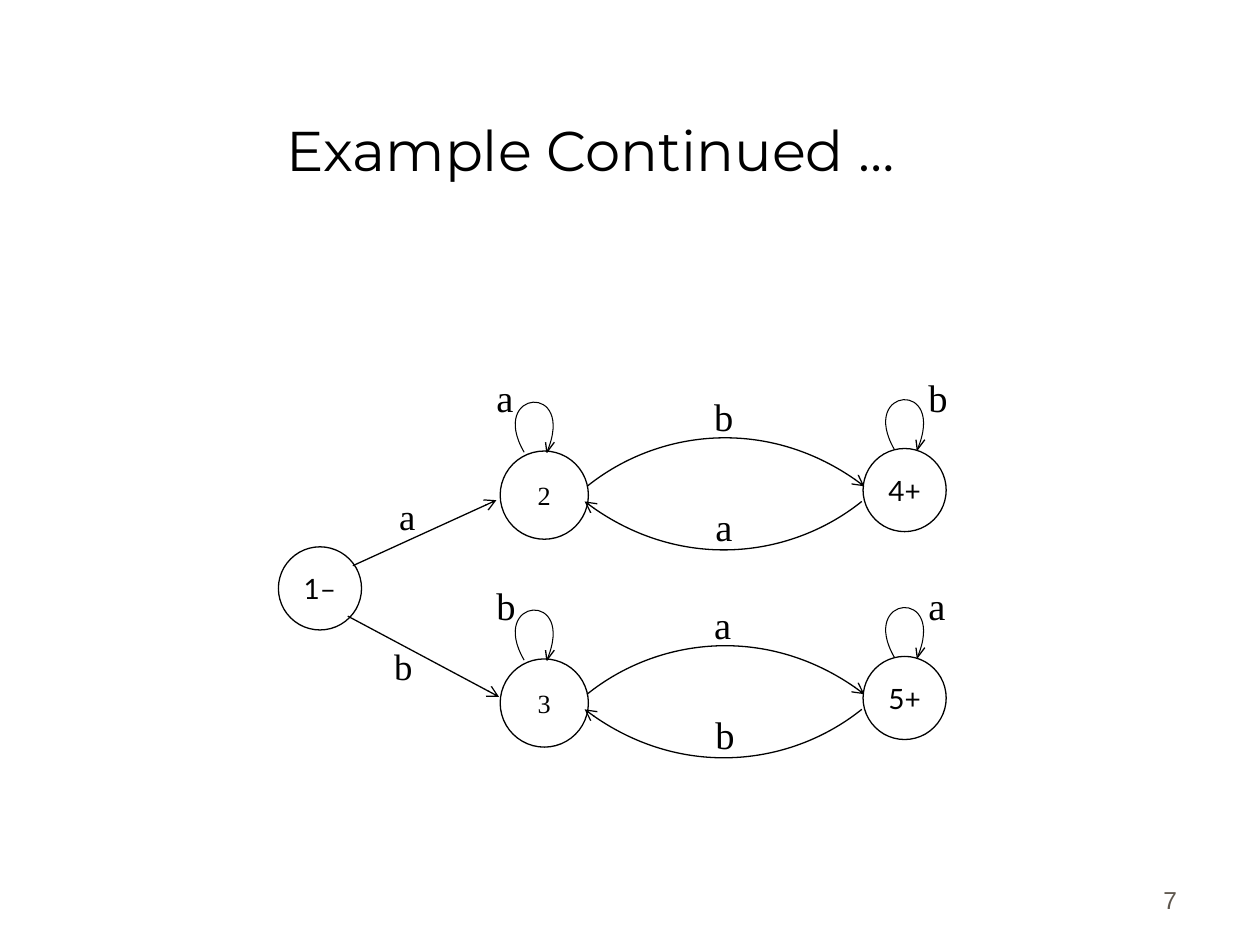
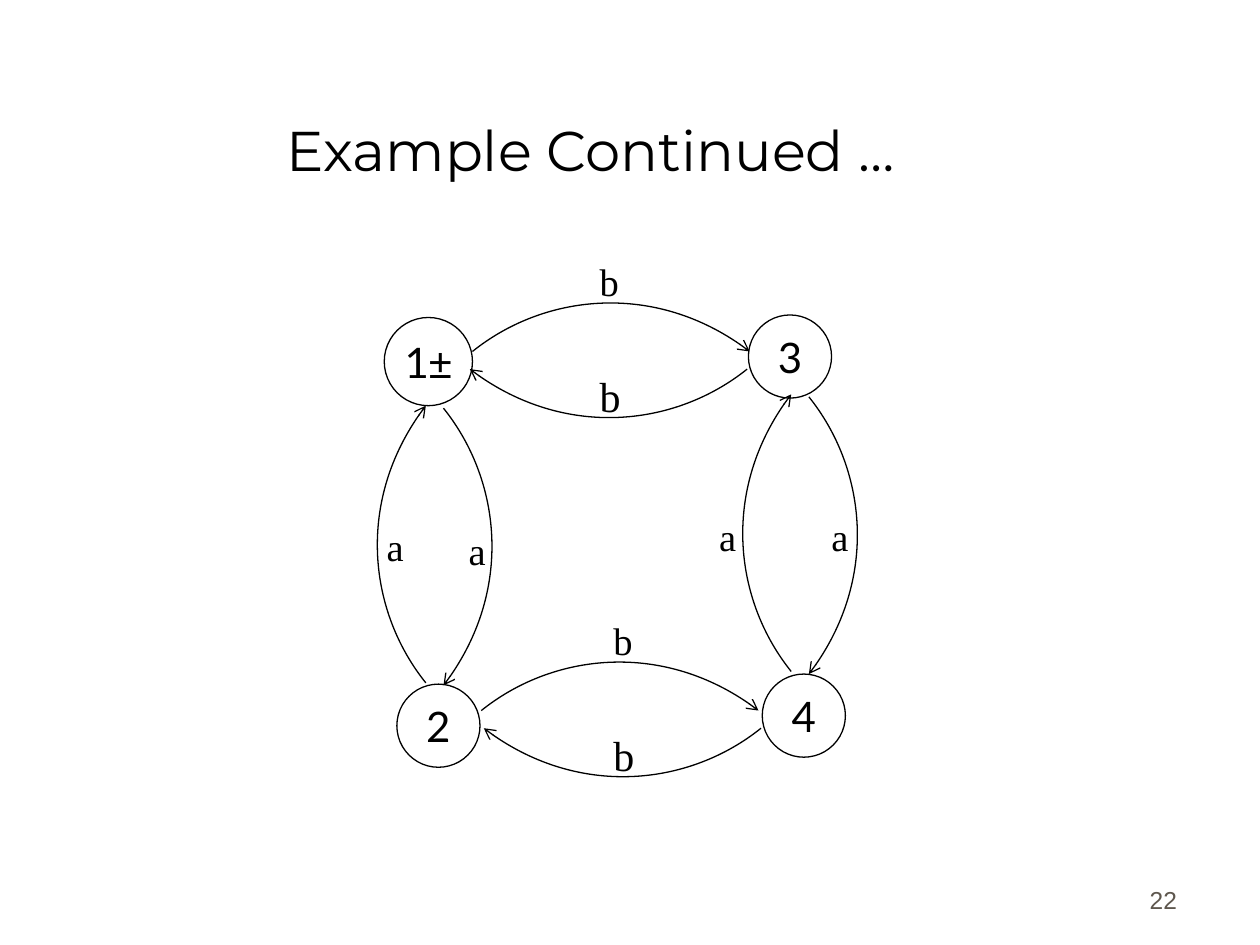
from lxml import etree
from pptx import Presentation
from pptx.dml.color import RGBColor
from pptx.enum import shapes, text
from pptx.oxml.ns import qn
from pptx.util import Inches, Pt

COLORS = {"ink": "000000", "paper": "FFFFFF", "number": "5E574E"}
SERIF, SANS, TITLE, NUMBER = "Times New Roman", "Lato", "Montserrat", "Arial"
TITLE_TEXT = "Example Continued …"
LINE, LOOP_LINE = 0.75, 0.6

# Quarter turns (cos, sin) that point an arc along the slide
RIGHT, DOWN, LEFT, UP = (1, 0), (0, 1), (-1, 0), (0, -1)
ARC = [(0.56, -0.45), (1.47, -0.56), (2.2, 0)]
LOOP = [(-0.29, -0.5), (0.42, -0.56), (0.18, 0)]
BARBS = [(0.06, -0.08), (-0.01, -0.08)]


def color(name):
    return RGBColor.from_string(COLORS[name])


class Diagram:
    """Draws automata with one style on the current slide."""

    def __init__(self, prs):
        self.prs = prs
        self.slide = None

    def new_slide(self, number):
        self.slide = self.prs.slides.add_slide(self.prs.slide_layouts[5])
        s = self.slide.shapes.title
        s.left, s.top, s.width, s.height = map(Inches, (0.44, 0.25, 8.5, 1.25))
        tf = s.text_frame
        tf.auto_size = text.MSO_AUTO_SIZE.NONE
        tf.vertical_anchor = text.MSO_ANCHOR.BOTTOM
        self.add_runs(tf, [(TITLE_TEXT, TITLE)], 32, text.PP_ALIGN.CENTER)
        tf = self.text_box(7.36, 6.81, 2.08, 0.5)
        tf.vertical_anchor = text.MSO_ANCHOR.BOTTOM
        self.add_runs(tf, [(number, NUMBER)], 14, text.PP_ALIGN.RIGHT, "number")

    def add_runs(self, tf, runs, size, align, ink="ink"):
        p = tf.paragraphs[0]
        p.alignment = align
        for words, font in runs:
            r = p.add_run()
            r.text = words
            r.font.name, r.font.size = font, Pt(size)
            r.font.color.rgb = color(ink)

    def text_box(self, x, y, w, h):
        s = self.slide.shapes.add_textbox(*map(Inches, (x, y, w, h)))
        s.text_frame.word_wrap = True
        return s.text_frame

    def label(self, letter, x, y, size=22):
        tf = self.text_box(x, y, 0.45, 0.45)
        self.add_runs(tf, [(letter, SERIF)], size, text.PP_ALIGN.LEFT)

    def state(self, x, y, d, runs, size):
        s = self.slide.shapes.add_shape(
            shapes.MSO_SHAPE.OVAL, *map(Inches, (x, y, d, d)))
        s.shadow.inherit = False
        s.fill.solid()
        s.fill.fore_color.rgb = color("paper")
        self.stroke(s)
        tf = s.text_frame
        tf.margin_left = tf.margin_right = tf.margin_top = tf.margin_bottom = 0
        tf.word_wrap = False
        tf.vertical_anchor = text.MSO_ANCHOR.MIDDLE
        self.add_runs(tf, runs, size, text.PP_ALIGN.CENTER)

    def stroke(self, s, width=LINE, arrow=False):
        s.line.color.rgb = color("ink")
        s.line.width = Pt(width)
        if arrow:
            ln = s._element.spPr.find(qn("a:ln"))
            etree.SubElement(ln, qn("a:tailEnd"), type="arrow")

    def straight(self, x1, y1, x2, y2, arrow=False):
        s = self.slide.shapes.add_connector(
            shapes.MSO_CONNECTOR.STRAIGHT, *map(Inches, (x1, y1, x2, y2)))
        self.stroke(s, arrow=arrow)
        etree.SubElement(s._element.spPr, qn("a:effectLst"))

    def curve(self, x, y, offsets, width=LINE, arrow=False):
        """Draw one cubic curve; offsets are two control points and the end."""
        points = [(Inches(x + dx), Inches(y + dy)) for dx, dy in offsets]
        builder = self.slide.shapes.build_freeform(Inches(x), Inches(y))
        builder.add_line_segments(points, close=False)
        s = builder.convert_to_shape()
        s.shadow.inherit = False
        s.fill.background()
        self.stroke(s, width, arrow)
        outline = next(s._element.iter(qn("a:path")))
        segments = outline.findall(qn("a:lnTo"))
        cubic = etree.SubElement(outline, qn("a:cubicBezTo"))
        for segment in segments:
            cubic.append(segment[0])
            outline.remove(segment)

    def arc(self, x, y, direction):
        c, n = direction
        turned = [(dx * c - dy * n, dx * n + dy * c) for dx, dy in ARC]
        self.curve(x, y, turned, arrow=True)

    def loop(self, x, y):
        self.curve(x, y, LOOP, LOOP_LINE)
        tip = x + LOOP[-1][0]
        for dx, dy in BARBS:
            self.straight(tip, y, tip + dx, y + dy)


def draw_two_branches(d):
    d.new_slide("7")
    d.state(2.21, 4.34, 0.66, [("1–", SANS)], 16)
    d.straight(2.8, 4.49, 3.94, 3.97, arrow=True)
    d.straight(2.76, 4.89, 3.96, 5.53, arrow=True)
    d.label("a", 3.07, 3.87, 21)
    d.label("b", 3.03, 5.06, 21)
    branches = [("2", "4+", "a", "b"), ("3", "5+", "b", "a")]
    for i, (middle, final, stay, go) in enumerate(branches):
        dy = 1.65 * i
        d.state(3.97, 3.58 + dy, 0.7, [(middle, SERIF)], 15)
        d.state(6.85, 3.56 + dy, 0.66, [(final, SANS)], 16)
        d.loop(4.16, 3.59 + dy)
        d.loop(7.1, 3.57 + dy)
        d.arc(4.66, 3.86 + dy, RIGHT)
        d.arc(6.84, 3.98 + dy, LEFT)
        d.label(stay, 3.84, 2.92 + dy)
        d.label(go, 7.27, 2.92 + dy)
        d.label(go, 5.57, 3.07 + dy)
        d.label(stay, 5.58, 3.94 + dy)


def draw_square(d):
    d.new_slide("22")
    states = [
        (3.05, 2.52, 0.7, [("1", SANS), ("±", NUMBER)]),
        (3.15, 5.43, 0.66, [("2", SANS)]),
        (5.94, 2.5, 0.66, [("3", SANS)]),
        (6.05, 5.35, 0.66, [("4", SANS)]),
    ]
    for x, y, diameter, runs in states:
        d.state(x, y, diameter, runs, 24)
    arcs = {
        RIGHT: [(3.75, 2.79), (3.82, 5.64)],
        LEFT: [(5.93, 2.93), (6.04, 5.78)],
        UP: [(3.38, 5.42), (6.28, 5.33)],
        DOWN: [(3.52, 3.24), (6.42, 3.15)],
    }
    for direction, starts in arcs.items():
        for x, y in starts:
            d.arc(x, y, direction)
    for x, y in [(4.66, 2), (4.77, 4.85)]:
        d.label("b", x, y)
        d.label("b", x, y + 0.89, 24)
    for x, y in [(2.97, 4.1), (3.62, 4.13), (5.61, 4.02), (6.5, 4.02)]:
        d.label("a", x, y)


def main():
    prs = Presentation()
    prs.slide_width, prs.slide_height = Inches(10), Inches(7.5)
    d = Diagram(prs)
    draw_two_branches(d)
    draw_square(d)
    prs.save("out.pptx")


if __name__ == "__main__":
    main()
